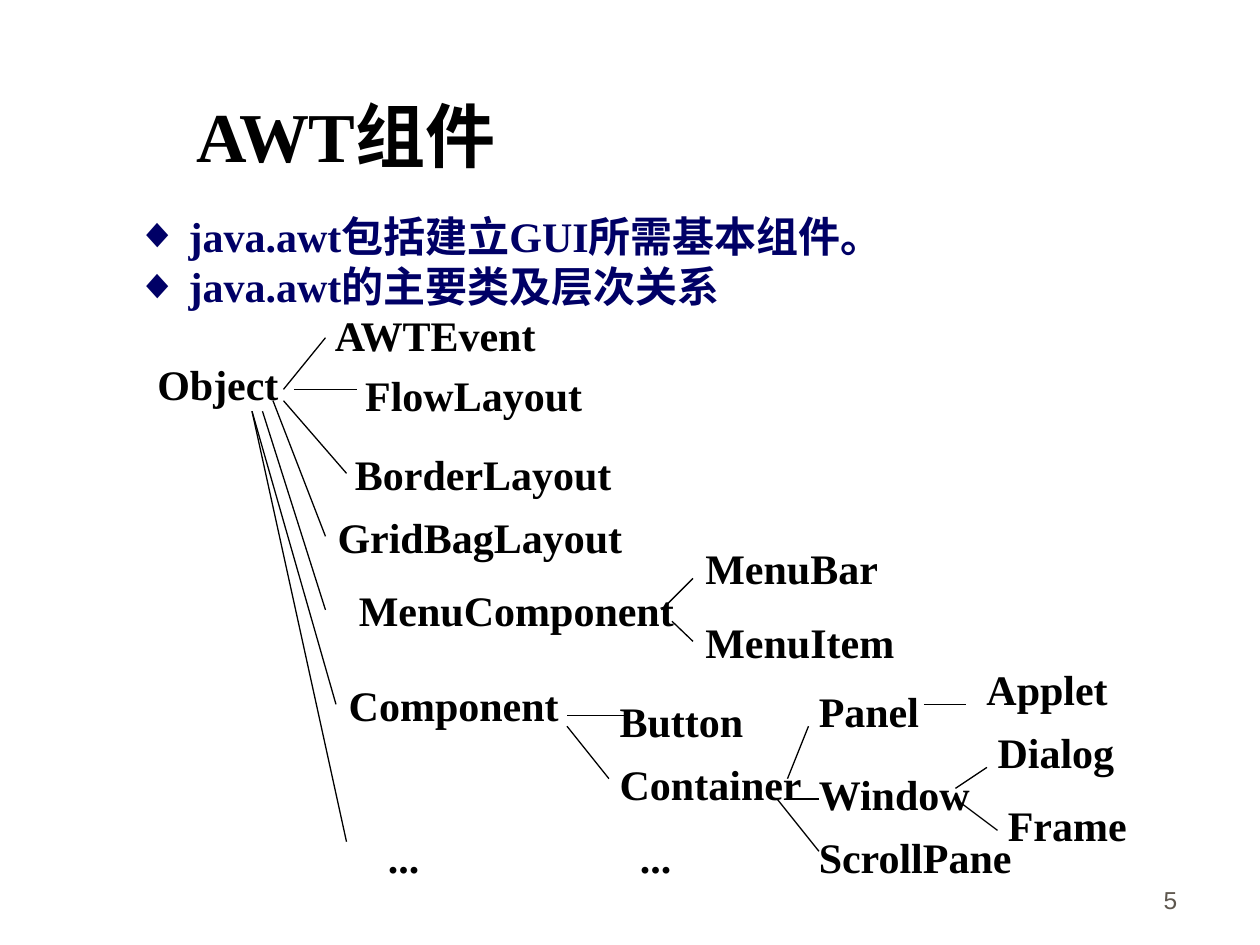
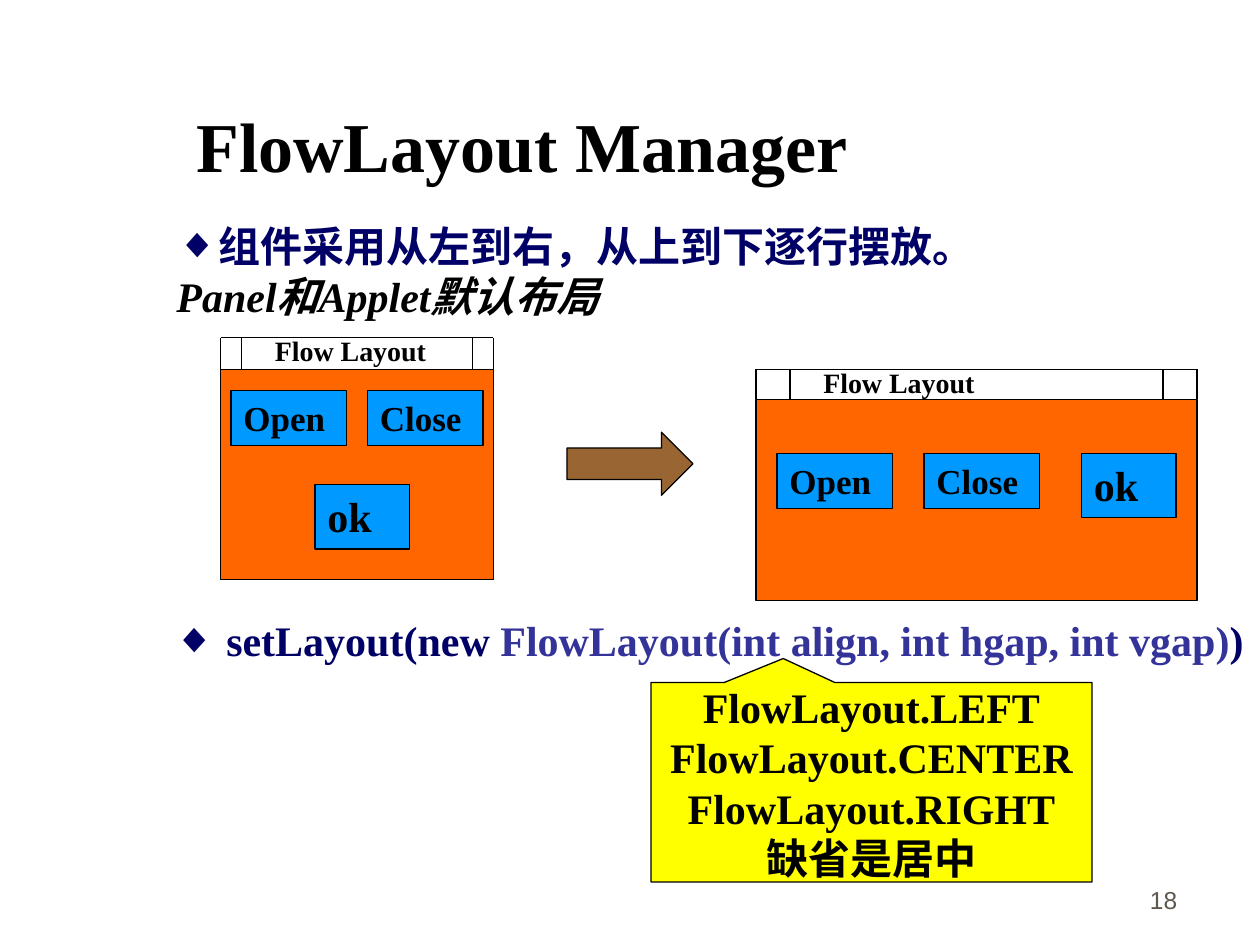
from dataclasses import dataclass

from lxml import etree
from pptx import Presentation
from pptx.dml.color import RGBColor
from pptx.enum.shapes import MSO_CONNECTOR, MSO_SHAPE
from pptx.enum.text import MSO_ANCHOR, MSO_AUTO_SIZE, PP_ALIGN
from pptx.oxml.ns import qn
from pptx.util import Pt

RECTANGLE = MSO_SHAPE.RECTANGLE
RIGHT_ARROW = MSO_SHAPE.RIGHT_ARROW
CALLOUT = MSO_SHAPE.RECTANGULAR_CALLOUT
STRAIGHT = MSO_CONNECTOR.STRAIGHT
TOP, MIDDLE, BOTTOM = MSO_ANCHOR.TOP, MSO_ANCHOR.MIDDLE, MSO_ANCHOR.BOTTOM
LEFT, CENTER, RIGHT = PP_ALIGN.LEFT, PP_ALIGN.CENTER, PP_ALIGN.RIGHT
NO_AUTOFIT = MSO_AUTO_SIZE.NONE


@dataclass(frozen=True)
class Theme:
    serif: str = "Times New Roman"
    sans: str = "Arial"
    black: str = "000000"
    navy: str = "000066"
    indigo: str = "333399"
    gray: str = "5E574E"
    orange: str = "FF6600"
    blue: str = "0099FF"
    brown: str = "996633"
    yellow: str = "FFFF00"
    title_size: float = 40
    text_size: float = 24
    button_size: float = 20
    caption_size: float = 16
    number_size: float = 14
    line_width: float = 0.75


THEME = Theme()


def add_text(paragraph, text, *, size=THEME.text_size, color=THEME.black,
             font=THEME.serif, bold=True, italic=False):
    """Append one formatted run to a paragraph."""
    run = paragraph.add_run()
    run.text = text
    run.font.name = font
    run.font.size = Pt(size)
    run.font.bold = bold
    run.font.italic = italic
    run.font.color.rgb = RGBColor.from_string(color)


def set_bullet(paragraph, hanging, percent):
    """Give the paragraph a diamond bullet, or none when hanging is 0."""
    properties = paragraph._p.get_or_add_pPr()
    properties.set("marL", str(Pt(hanging)))
    properties.set("indent", str(-Pt(hanging)))
    if not hanging:
        etree.SubElement(properties, qn("a:buNone"))
        return
    etree.SubElement(properties, qn("a:buSzPct"), val=str(percent * 1000))
    etree.SubElement(properties, qn("a:buFont"), typeface=THEME.serif)
    etree.SubElement(properties, qn("a:buChar"), char="◆")


class SlideBuilder:
    """Holds the theme, the current slide and the shapes being added to."""

    def __init__(self, presentation, theme):
        self.presentation = presentation
        self.theme = theme

    def new_slide(self, title, title_box, number):
        layout = self.presentation.slide_layouts[1]
        self.slide = self.presentation.slides.add_slide(layout)
        self.shapes = self.slide.shapes
        heading = self.place(self.shapes.title, title_box)
        self.fill_text(heading, [title], size=self.theme.title_size)
        self.text(str(number), (530, 490.3, 149.8, 36), anchor=BOTTOM,
                  align=RIGHT, wrap=True, size=self.theme.number_size,
                  font=self.theme.sans, color=self.theme.gray, bold=False)

    def place(self, shape, box):
        shape.left, shape.top, shape.width, shape.height = map(Pt, box)
        return shape

    def fill_text(self, shape, lines, *, anchor=TOP, align=LEFT, wrap=True,
                  **style):
        frame = shape.text_frame
        frame.auto_size = NO_AUTOFIT
        frame.word_wrap = wrap
        frame.vertical_anchor = anchor
        for index, line in enumerate(lines):
            paragraph = frame.paragraphs[0] if index == 0 else frame.add_paragraph()
            paragraph.alignment = align
            add_text(paragraph, line, **style)

    def text(self, text, box, *, wrap=False, **style):
        shape = self.shapes.add_textbox(*map(Pt, box))
        self.fill_text(shape, [text], wrap=wrap, **style)
        return shape

    def bullets(self, shape, items, *, wrap=False):
        """items: (hanging indent, bullet percent, [(text, style), ...])."""
        frame = shape.text_frame
        frame.auto_size = NO_AUTOFIT
        frame.word_wrap = wrap
        frame.vertical_anchor = TOP
        for index, (hanging, percent, runs) in enumerate(items):
            paragraph = frame.paragraphs[0] if index == 0 else frame.add_paragraph()
            paragraph.space_before = Pt(0)
            set_bullet(paragraph, hanging, percent)
            for text, style in runs:
                add_text(paragraph, text, **style)

    def body(self, box, items, *, wrap=False):
        self.bullets(self.place(self.slide.placeholders[1], box), items, wrap=wrap)

    def shape(self, kind, box, fill, lines=(), **style):
        shape = self.shapes.add_shape(kind, *map(Pt, box))
        shape.shadow.inherit = False
        shape.fill.solid()
        shape.fill.fore_color.rgb = RGBColor.from_string(fill)
        self.outline(shape)
        self.fill_text(shape, lines, **style)
        return shape

    def outline(self, shape):
        shape.line.color.rgb = RGBColor.from_string(self.theme.black)
        shape.line.width = Pt(self.theme.line_width)

    def line(self, *ends):
        connector = self.shapes.add_connector(STRAIGHT, *map(Pt, ends))
        self.outline(connector)
        etree.SubElement(connector._element.spPr, qn("a:effectLst"))

    def window(self, box, bar_height, corner_width, button_places):
        """A grouped application window with a title bar and three buttons."""
        left, top, width, height = box
        bar_top = top - bar_height
        right = left + width
        self.shapes = self.slide.shapes.add_group_shape().shapes
        self.shape(RECTANGLE, box, self.theme.orange)
        self.line(left, bar_top, right, bar_top)
        for x in (left, left + corner_width, right - corner_width, right):
            self.line(x, bar_top, x, top)
        caption = self.text("Flow Layout",
                            (left + corner_width, bar_top - 5.8, 113, 26.6),
                            size=self.theme.caption_size)
        properties = caption.text_frame.paragraphs[0]._p.get_or_add_pPr()
        properties.set("marL", str(Pt(12)))
        for (label, button_width, button_height, size), (x, y) in zip(
                BUTTONS, button_places):
            self.shape(RECTANGLE, (x, y, button_width, button_height),
                       self.theme.blue, [label], size=size)
        self.shapes = self.slide.shapes


BUTTONS = [
    ("Open", 66, 31.7, THEME.button_size),
    ("Close", 66, 31.7, THEME.button_size),
    ("ok", 54, 36.7, THEME.text_size),
]

# Class names of the hierarchy: text, left, top, width
CLASS_LABELS = [
    ("Object", 82.8, 201.6, 83.5),
    ("AWTEvent", 184.3, 173.5, 131.8),
    ("FlowLayout", 201.6, 207.4, 138.2),
    ("BorderLayout", 195.8, 252.7, 161.3),
    ("GridBagLayout", 185.8, 288.7, 177.1),
    ("MenuComponent", 198, 330.5, 194.4),
    ("MenuBar", 396, 306.7, 113),
    ("MenuItem", 396, 348.5, 122.4),
    ("Component", 192.2, 384.5, 134.6),
    ("Button", 347, 393.8, 85),
    ("Container", 347, 429.8, 118.8),
    ("Panel", 460.8, 388, 72),
    ("Window", 460.8, 435.6, 101.5),
    ("ScrollPane", 460.8, 471.6, 125.3),
    ("Applet", 556.6, 375.8, 83.5),
    ("Dialog", 563, 411.8, 81.4),
    ("Frame", 568.8, 453.6, 82),
    ("...", 214.6, 471.6, 32.4),
    ("...", 358.6, 471.6, 32.4),
]

# Branches from each class to its subclasses: x1, y1, x2, y2
BRANCHES = [
    # Object
    (162, 222.5, 186, 193),
    (168, 222.5, 204, 222.5),
    (162, 229, 198, 270.5),
    (156, 229, 186, 306.5),
    (150, 235, 186, 348.5),
    (144, 235, 192, 402.5),
    (144, 235, 198, 481),
    # MenuComponent
    (378, 348.5, 396, 330.5),
    (384, 355, 396, 366.5),
    # Component
    (324, 409, 360, 409),
    (324, 415, 348, 445),
    # Container
    (450, 445, 462, 415),
    (450, 456.5, 468, 456.5),
    (444, 456.5, 468, 486.5),
    # Window and Panel
    (546, 450.5, 564, 438.5),
    (546, 456.5, 570, 474.5),
    (528, 402.5, 552, 402.5),
]


def build_components(builder):
    builder.new_slide("AWT组件", (105, 49, 329, 55.4), 5)
    navy = {"color": THEME.navy}
    builder.body((70.6, 116.6, 440.6, 64.8), [
        (30, 100, [("java.awt包括建立GUI所需基本组件。", navy)]),
        (30, 100, [("java.awt的主要类及层次关系", navy)]),
    ])
    for name, left, top, width in CLASS_LABELS:
        builder.text(name, (left, top, width, 36))
    for branch in BRANCHES:
        builder.line(*branch)


def build_flow_layout(builder):
    builder.new_slide("FlowLayout Manager", (105, 54.7, 476, 55.4), 18)
    navy = {"color": THEME.navy}
    builder.body((93.6, 122.4, 505.4, 65.5), [
        (24, 100, [("组件采用从左到右，从上到下逐行摆放。", navy)]),
        (0, 100, [("Panel和Applet默认布局", {"italic": True})]),
    ], wrap=True)

    # The same window before and after it is widened
    builder.window((126, 211, 156, 120), 18, 12,
                   [(132, 223), (210, 223), (180, 277)])
    builder.shape(RIGHT_ARROW, (324, 247, 72, 36), THEME.brown)
    builder.window((432, 228.3, 252, 115), 17.3, 19.4,
                   [(444, 259), (528, 259), (618, 259)])

    # Constructor and its alignment values
    constructor = builder.shapes.add_textbox(Pt(92.2), Pt(347.8), Pt(625.7), Pt(36))
    builder.bullets(constructor, [(30, 100, [
        ("setLayout(new ", navy),
        ("FlowLayout(int align, int hgap, int vgap)", {"color": THEME.indigo}),
        (")", navy),
    ])])
    callout = builder.shape(
        CALLOUT, (372, 390, 252, 114), THEME.yellow,
        ["FlowLayout.LEFT", "FlowLayout.CENTER", "FlowLayout.RIGHT", "缺省是居中"],
        anchor=MIDDLE, align=CENTER, wrap=False)
    callout.adjustments[0] = -0.2
    callout.adjustments[1] = -0.62


def main():
    presentation = Presentation()
    presentation.slide_width, presentation.slide_height = Pt(720), Pt(540)
    builder = SlideBuilder(presentation, THEME)
    build_components(builder)
    build_flow_layout(builder)
    presentation.save("out.pptx")


if __name__ == "__main__":
    main()
